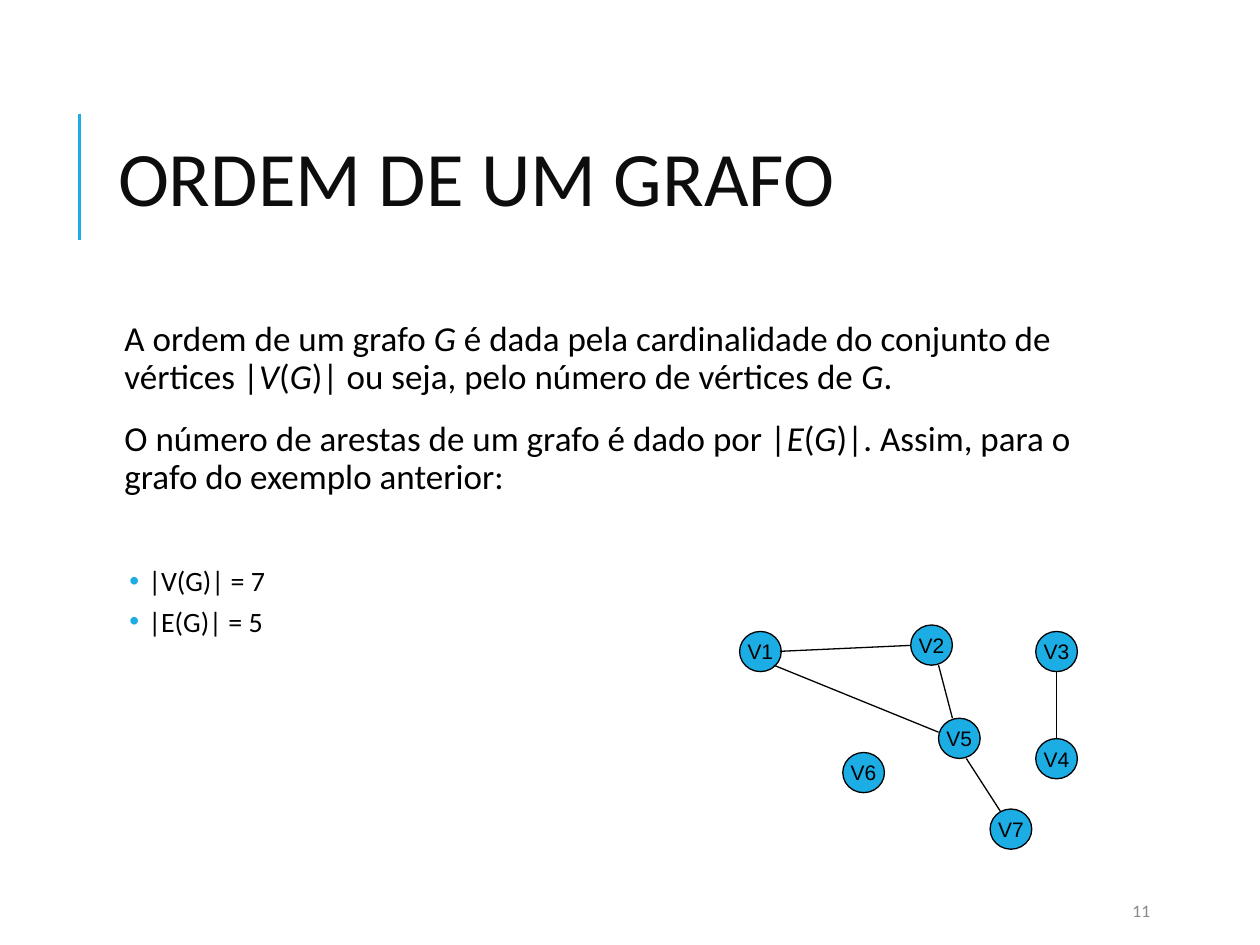
from dataclasses import dataclass

import pptx
import pptx.dml.color
import pptx.enum.shapes
import pptx.enum.text
import pptx.oxml
import pptx.oxml.ns
import pptx.util
from pptx.util import Cm


@dataclass(frozen=True)
class Theme:
    accent: str = "1CADE4"
    ink: str = "000000"
    title_ink: str = "0D0D0D"
    muted: str = "898989"
    text_font: str = "Calibri"
    label_font: str = "Arial"
    title_size: int = 44
    body_size: int = 20
    bullet_size: int = 16
    label_size: int = 12
    number_size: int = 10
    rule_width: float = 1.5
    graph_width: float = 0.75


THEME = Theme()

# Stretches between asterisks are italic.
STATEMENTS = (
    "A ordem de um grafo *G *é dada pela cardinalidade do conjunto de "
    "vértices |*V*(*G*)| ou seja, pelo número de vértices de *G*.",
    "O número de arestas de um grafo é dado por |*E*(*G*)|. "
    "Assim, para o grafo do exemplo anterior:",
)
COUNTS = ("|V(G)| = 7", "|E(G)| = 5")

# Offsets in centimetres from the corner of the graph's box.
VERTEX_SIZE = (0.84, 0.81)
VERTICES = {
    "V1": (0, 0.13), "V2": (3.45, 0), "V3": (5.97, 0.13), "V4": (5.97, 2.29),
    "V5": (4.01, 1.88), "V6": (2.08, 2.57), "V7": (5.05, 3.71),
}
EDGES = (
    ((0.81, 0.53), (3.45, 0.41)),  # V1 to V2
    ((0.69, 0.81), (4.01, 2.16)),  # V1 to V5
    ((4.01, 0.81), (4.29, 1.88)),  # V2 to V5
    ((6.39, 0.94), (6.39, 2.29)),  # V3 to V4
    ((4.57, 2.69), (5.26, 3.76)),  # V5 to V7
)


def rgb(color):
    return pptx.dml.color.RGBColor.from_string(color)


def set_font(para, size, color, name=THEME.text_font):
    para.font.name = name
    para.font.size = pptx.util.Pt(size)
    para.font.color.rgb = rgb(color)


def add_text_box(page, box, anchor=pptx.enum.text.MSO_ANCHOR.MIDDLE):
    frame = page.shapes.add_textbox(*(Cm(length) for length in box)).text_frame
    frame.word_wrap = True
    frame.vertical_anchor = anchor
    return frame


def add_line(shapes, start, end, color, width):
    line = shapes.add_connector(
        pptx.enum.shapes.MSO_CONNECTOR.STRAIGHT,
        *(Cm(length) for length in (*start, *end)))
    line.line.color.rgb = rgb(color)
    line.line.width = pptx.util.Pt(width)
    properties = line._element.spPr
    properties.append(pptx.oxml.parse_xml(
        f"<a:effectLst {pptx.oxml.ns.nsdecls('a')}/>"))


def add_bullet(para):
    properties = para._p.get_or_add_pPr()
    properties.set("marL", str(Cm(0.48)))
    properties.set("indent", str(Cm(-0.38)))
    namespace = pptx.oxml.ns.nsdecls("a")
    for xml in (
        f'<a:buClr {namespace}><a:srgbClr val="{THEME.accent}"/></a:buClr>',
        f'<a:buFont {namespace} typeface="{THEME.label_font}"/>',
        f'<a:buChar {namespace} char="•"/>',
    ):
        properties.append(pptx.oxml.parse_xml(xml))


def add_heading(page, box):
    """Place the title, with the accent rule to the left of its box."""
    left, top = box[:2]
    add_line(page.shapes, (left - 0.53, top + 0.66), (left - 0.53, top + 3.2),
             THEME.accent, THEME.rule_width)
    para = add_text_box(page, box).paragraphs[0]
    para.text = "ORDEM DE UM GRAFO"
    para.line_spacing = 0.8
    set_font(para, THEME.title_size, THEME.title_ink)


def add_body(page, box):
    frame = add_text_box(page, box, pptx.enum.text.MSO_ANCHOR.TOP)
    frame.margin_left = Cm(0.38)
    frame.margin_top = frame.margin_right = frame.margin_bottom = Cm(0.13)

    for index, statement in enumerate(STATEMENTS):
        para = frame.add_paragraph() if index else frame.paragraphs[0]
        para.line_spacing = 0.9
        para.space_before = pptx.util.Pt(12 if index else 0)
        para.space_after = pptx.util.Pt(2)
        set_font(para, THEME.body_size, THEME.ink)
        for position, words in enumerate(statement.split("*")):
            span = para.add_run()
            span.text = words
            if position % 2:
                span.font.italic = True

    for index, count in enumerate(COUNTS):
        para = frame.add_paragraph()
        para.text = count
        para.line_spacing = 0.9
        para.space_before = pptx.util.Pt(2 if index else 38)
        para.space_after = pptx.util.Pt(4)
        add_bullet(para)
        set_font(para, THEME.bullet_size, THEME.ink)


def add_vertex(shapes, name, left, top):
    vertex = shapes.add_shape(
        pptx.enum.shapes.MSO_SHAPE.OVAL,
        *(Cm(length) for length in (left, top, *VERTEX_SIZE)))
    vertex.shadow.inherit = False
    vertex.fill.solid()
    vertex.fill.fore_color.rgb = rgb(THEME.accent)
    vertex.line.color.rgb = rgb(THEME.ink)
    vertex.line.width = pptx.util.Pt(THEME.graph_width)
    frame = vertex.text_frame
    frame.word_wrap = False
    frame.vertical_anchor = pptx.enum.text.MSO_ANCHOR.MIDDLE
    para = frame.paragraphs[0]
    para.text = name
    para.alignment = pptx.enum.text.PP_ALIGN.CENTER
    set_font(para, THEME.label_size, THEME.ink, THEME.label_font)


def add_graph(page, left, top):
    shapes = page.shapes.add_group_shape().shapes
    for name, (x, y) in VERTICES.items():
        add_vertex(shapes, name, left + x, top + y)
    for edge in EDGES:
        start, end = ((left + x, top + y) for x, y in edge)
        add_line(shapes, start, end, THEME.ink, THEME.graph_width)


def add_page_number(page, box):
    para = add_text_box(page, box).paragraphs[0]
    para.text = "11"
    set_font(para, THEME.number_size, THEME.muted)


def main():
    deck = pptx.Presentation()
    deck.slide_width, deck.slide_height = Cm(25.4), Cm(19.05)
    page = deck.slides.add_slide(deck.slide_layouts[6])
    add_heading(page, (2.13, 1.63, 20.24, 4.17))
    add_body(page, (2.13, 6.35, 20.24, 11.18))
    add_page_number(page, (22.58, 17.98, 2.03, 0.76))
    add_graph(page, 14.91, 12.6)
    deck.save("out.pptx")


if __name__ == "__main__":
    main()
